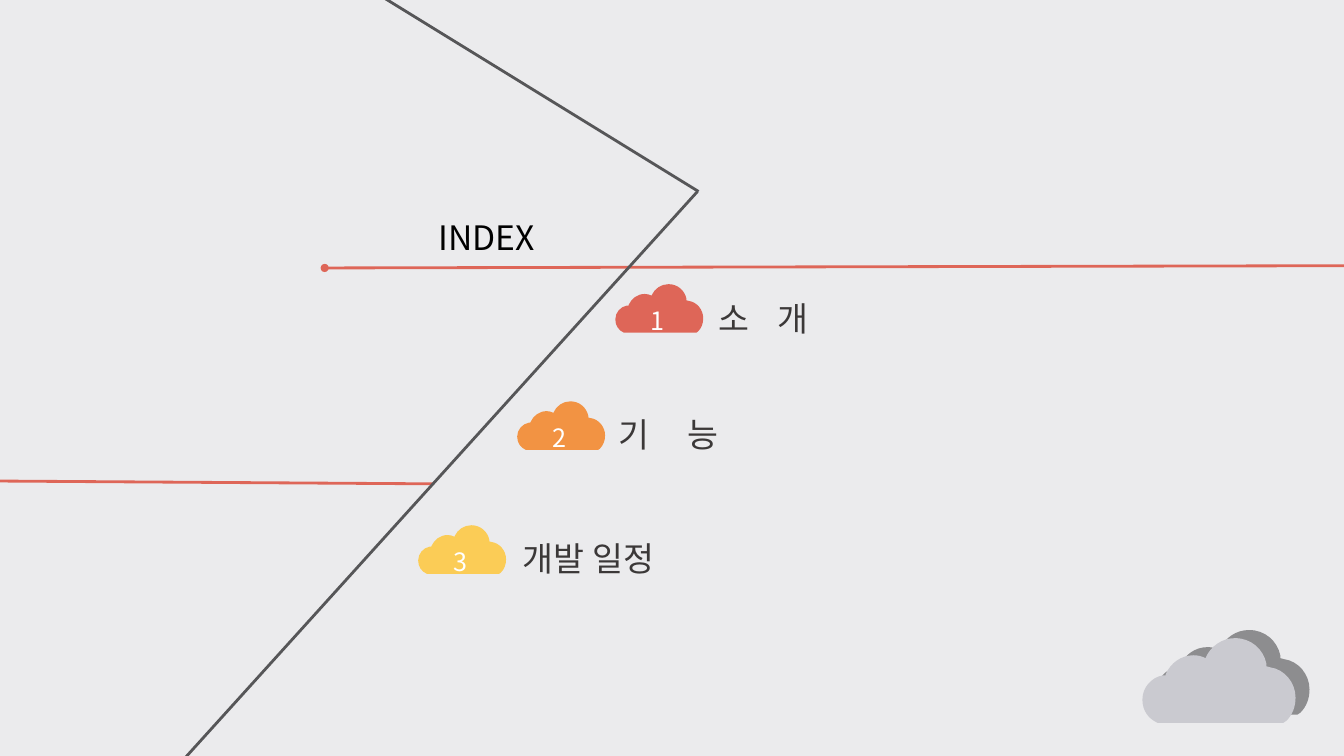
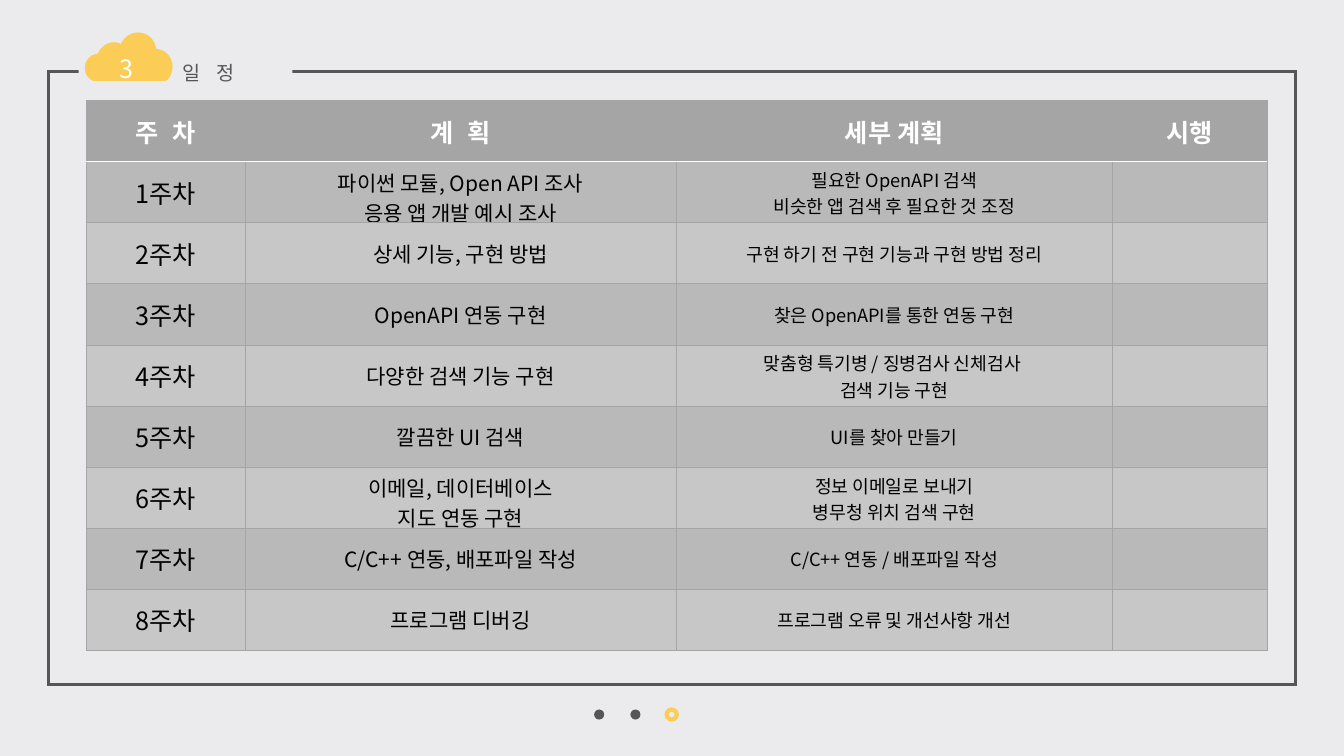
import pptx
import pptx.dml.color
import pptx.enum.shapes
import pptx.enum.text
import pptx.oxml
import pptx.oxml.ns
import pptx.util
import lxml.etree

Pt = pptx.util.Pt
RGBColor = pptx.dml.color.RGBColor
SHAPES = pptx.enum.shapes.MSO_SHAPE
ALIGN = pptx.enum.text.PP_ALIGN
ANCHOR = pptx.enum.text.MSO_ANCHOR
qn = pptx.oxml.ns.qn

FONT = "Noto Sans CJK KR"
PAPER = RGBColor(0xEB, 0xEB, 0xED)
RED = RGBColor(0xDE, 0x66, 0x58)
ORANGE = RGBColor(0xF2, 0x93, 0x43)
YELLOW = RGBColor(0xFB, 0xCC, 0x56)
DARK = RGBColor(0x56, 0x56, 0x58)
INK = RGBColor(0x3B, 0x38, 0x38)
BLACK = RGBColor(0, 0, 0)
WHITE = RGBColor(0xFF, 0xFF, 0xFF)
HEADER = RGBColor(0xA5, 0xA5, 0xA5)
BANDS = (RGBColor(0xB9, 0xB9, 0xB9), RGBColor(0xC7, 0xC7, 0xC7))
CLOUD_SHADE = RGBColor(0x8D, 0x8D, 0x8F)
CLOUD_LIGHT = RGBColor(0xCA, 0xCA, 0xD0)

CLOUD_UNITS = 152
CLOUD_START = (92, 0)
CLOUD_SEGMENTS = [
    [(108, 0), (120, 11), (123, 25)],
    [(123, 28)],
    [(127, 29)],
    [(141, 31), (152, 44), (152, 59)],
    [(152, 68), (149, 76), (143, 82)],
    [(140, 84)],
    [(16, 84)],
    [(15, 84)],
    [(6, 80), (0, 72), (0, 61)],
    [(0, 49), (9, 39), (20, 37)],
    [(23, 37)],
    [(23, 36)],
    [(28, 25), (38, 17), (51, 17)],
    [(55, 17), (59, 18), (63, 20)],
    [(63, 20)],
    [(63, 19)],
    [(68, 8), (79, 0), (92, 0)],
]

SCHEDULE = [
    ("주 차", "계 획", "세부 계획", "시행"),
    ("1주차", "파이썬 모듈, Open API 조사\n응용 앱 개발 예시 조사",
     "필요한 OpenAPI 검색\n비슷한 앱 검색 후 필요한 것 조정", ""),
    ("2주차", "상세 기능, 구현 방법", "구현 하기 전 구현 기능과 구현 방법 정리", ""),
    ("3주차", "OpenAPI 연동 구현", "찾은 OpenAPI를 통한 연동 구현", ""),
    ("4주차", "다양한 검색 기능 구현", "맞춤형 특기병 / 징병검사 신체검사 \n검색 기능 구현", ""),
    ("5주차", "깔끔한 UI 검색", "UI를 찾아 만들기", ""),
    ("6주차", "이메일, 데이터베이스\n지도 연동 구현", "정보 이메일로 보내기\n병무청 위치 검색 구현", ""),
    ("7주차", "C/C++ 연동, 배포파일 작성", "C/C++ 연동 / 배포파일 작성", ""),
    ("8주차", "프로그램 디버깅", "프로그램 오류 및 개선사항 개선", ""),
]
COLUMN_WIDTHS = (113.2, 308, 311.5, 110.5)
COLUMN_SIZES = (18, 15, 13, 18)
ROW_HEIGHT = 43.65


def write_text(frame, text, size=18, color=BLACK, bold=False, align=ALIGN.LEFT, spacing=0):
    for index, line in enumerate(text.split("\n")):
        paragraph = frame.add_paragraph() if index else frame.paragraphs[0]
        paragraph.alignment = align
        if not line:
            continue
        run = paragraph.add_run()
        run.text = line
        run.font.size = Pt(size)
        run.font.bold = bold
        run.font.color.rgb = color
        run.font.name = FONT
        properties = run.font._element
        lxml.etree.SubElement(properties, qn("a:ea")).set("typeface", FONT)
        if spacing:
            properties.set("spc", str(round(spacing * 100)))


class Deck:
    def __init__(self):
        self.presentation = pptx.Presentation()
        self.presentation.slide_width = Pt(960)
        self.presentation.slide_height = Pt(540)
        backdrop = self.presentation.slide_master.background.fill
        backdrop.solid()
        backdrop.fore_color.rgb = PAPER
        self.slide = None

    def new_slide(self):
        self.slide = self.presentation.slides.add_slide(self.presentation.slide_layouts[6])

    def paint(self, shape, fill=None, line=None, weight=2):
        shape.shadow.inherit = False
        if fill is None:
            shape.fill.background()
        else:
            shape.fill.solid()
            shape.fill.fore_color.rgb = fill
        if line is None:
            shape.line.fill.background()
        else:
            shape.line.color.rgb = line
            shape.line.width = Pt(weight)
            outline = shape._element.spPr.find(qn("a:ln"))
            lxml.etree.SubElement(outline, qn("a:miter")).set("lim", "800000")

    def shape(self, kind, left, top, width, height, **style):
        self.paint(self.slide.shapes.add_shape(kind, Pt(left), Pt(top), Pt(width), Pt(height)),
                   **style)

    def line(self, start, end, color):
        connector = self.slide.shapes.add_connector(
            pptx.enum.shapes.MSO_CONNECTOR.STRAIGHT, *(Pt(value) for value in (*start, *end)))
        connector.line.color.rgb = color
        connector.line.width = Pt(2)
        lxml.etree.SubElement(connector._element.spPr, qn("a:effectLst"))

    def text(self, text, left, top, width, height, wrap=True, **style):
        box = self.slide.shapes.add_textbox(Pt(left), Pt(top), Pt(width), Pt(height))
        box.text_frame.word_wrap = wrap
        box.text_frame.auto_size = pptx.enum.text.MSO_AUTO_SIZE.SHAPE_TO_FIT_TEXT
        write_text(box.text_frame, text, **style)

    def cloud(self, left, top, width, color):
        unit = Pt(width) / CLOUD_UNITS
        segments = [[(round(x * unit), round(y * unit)) for x, y in segment]
                    for segment in CLOUD_SEGMENTS]
        builder = self.slide.shapes.build_freeform(*(value * unit for value in CLOUD_START))
        builder.add_line_segments([segment[-1] for segment in segments], close=True)
        cloud = builder.convert_to_shape(Pt(left), Pt(top))
        edges = list(cloud._element.iter(qn("a:lnTo")))
        for edge, segment in zip(edges, segments):
            if len(segment) == 3:
                edge.tag = qn("a:cubicBezTo")
                for point in list(edge):
                    edge.remove(point)
                for x, y in segment:
                    point = lxml.etree.SubElement(edge, qn("a:pt"))
                    point.set("x", str(x))
                    point.set("y", str(y))
        self.paint(cloud, fill=color)

    def badge(self, number, left, top, color):
        self.cloud(left, top, 62.8, color)
        self.text(number, left + 18, top + 11.5, 26, 29, wrap=False, color=WHITE)

    def border(self, cell, side, color, weight):
        edge = lxml.etree.SubElement(cell._tc.get_or_add_tcPr(), qn("a:ln" + side))
        edge.set("w", str(Pt(weight)))
        solid = lxml.etree.SubElement(edge, qn("a:solidFill"))
        lxml.etree.SubElement(solid, qn("a:srgbClr")).set("val", str(color))

    def table(self, rows, left, top):
        table = self.slide.shapes.add_table(
            len(rows), len(COLUMN_WIDTHS), Pt(left), Pt(top),
            Pt(sum(COLUMN_WIDTHS)), Pt(ROW_HEIGHT * len(rows))).table
        table.horz_banding = False
        for column, width in zip(table.columns, COLUMN_WIDTHS):
            column.width = Pt(width)
        for row_index, row in enumerate(rows):
            table.rows[row_index].height = Pt(ROW_HEIGHT)
            for column_index, text in enumerate(row):
                self.cell(table.cell(row_index, column_index), text, row_index, column_index)

    def cell(self, cell, text, row, column):
        is_header = row == 0
        cell.vertical_anchor = ANCHOR.MIDDLE
        for side in "LRTB":
            under_header = (row, side) in ((0, "B"), (1, "T"))
            self.border(cell, side, WHITE if under_header else HEADER, 1 if under_header else 0.5)
        cell.fill.solid()
        cell.fill.fore_color.rgb = HEADER if is_header else BANDS[(row - 1) % 2]
        write_text(cell.text_frame, text, align=ALIGN.CENTER, bold=is_header,
                   size=18 if is_header else COLUMN_SIZES[column],
                   color=WHITE if is_header else BLACK,
                   spacing=2.7 if is_header and column < 2 else 0)


def build_index(deck):
    deck.new_slide()
    deck.line((231.8, 191.4), (960, 189.8), RED)
    deck.line((262.8, -8.6), (499, 136.8), DARK)
    deck.text("INDEX", 306, 151.2, 96, 36, size=24)
    deck.line((-2, 343.6), (309.6, 345.6), RED)
    deck.line((128.2, 545.8), (498.2, 136.8), DARK)
    deck.cloud(826, 450, 109.4, CLOUD_SHADE)
    topics = [
        ("1", "소 개", RED, (439.5, 203), (506.2, 209.5), 138, 7.2),
        ("2", "기 능", ORANGE, (369.4, 286.7), (434.7, 292.3), 144, 10.8),
        ("3", "개발 일정", YELLOW, (298.7, 375.2), (366.5, 380.9), 219, 0),
    ]
    for number, topic, color, badge_at, topic_at, width, spacing in topics:
        deck.badge(number, *badge_at, color)
        deck.text(topic, *topic_at, width, 36, size=24, color=INK, spacing=spacing)
    deck.cloud(816, 455.8, 109.4, CLOUD_LIGHT)
    deck.shape(SHAPES.OVAL, 229, 188.5, 5.8, 5.8, fill=RED)


def build_schedule(deck):
    deck.new_slide()
    deck.shape(SHAPES.RECTANGLE, 34.6, 51.1, 890.6, 438, line=DARK)
    page_dots = [{"fill": DARK}, {"fill": DARK}, {"line": YELLOW, "weight": 3}]
    for index, style in enumerate(page_dots):
        deck.shape(SHAPES.OVAL, 424.4 + 25.9 * index, 506.8, 7.2, 7.2, **style)
    deck.shape(SHAPES.RECTANGLE, 56.2, 41, 152.6, 20.9, fill=PAPER)
    deck.text("일 정", 123.1, 40.3, 57.6, 24.5, wrap=False, size=14, color=DARK, spacing=4.2)
    deck.badge("3", 60.5, 23.2, YELLOW)
    deck.table(SCHEDULE, 61.8, 71.8)


def main():
    deck = Deck()
    build_index(deck)
    build_schedule(deck)
    deck.presentation.save("out.pptx")


if __name__ == "__main__":
    main()
